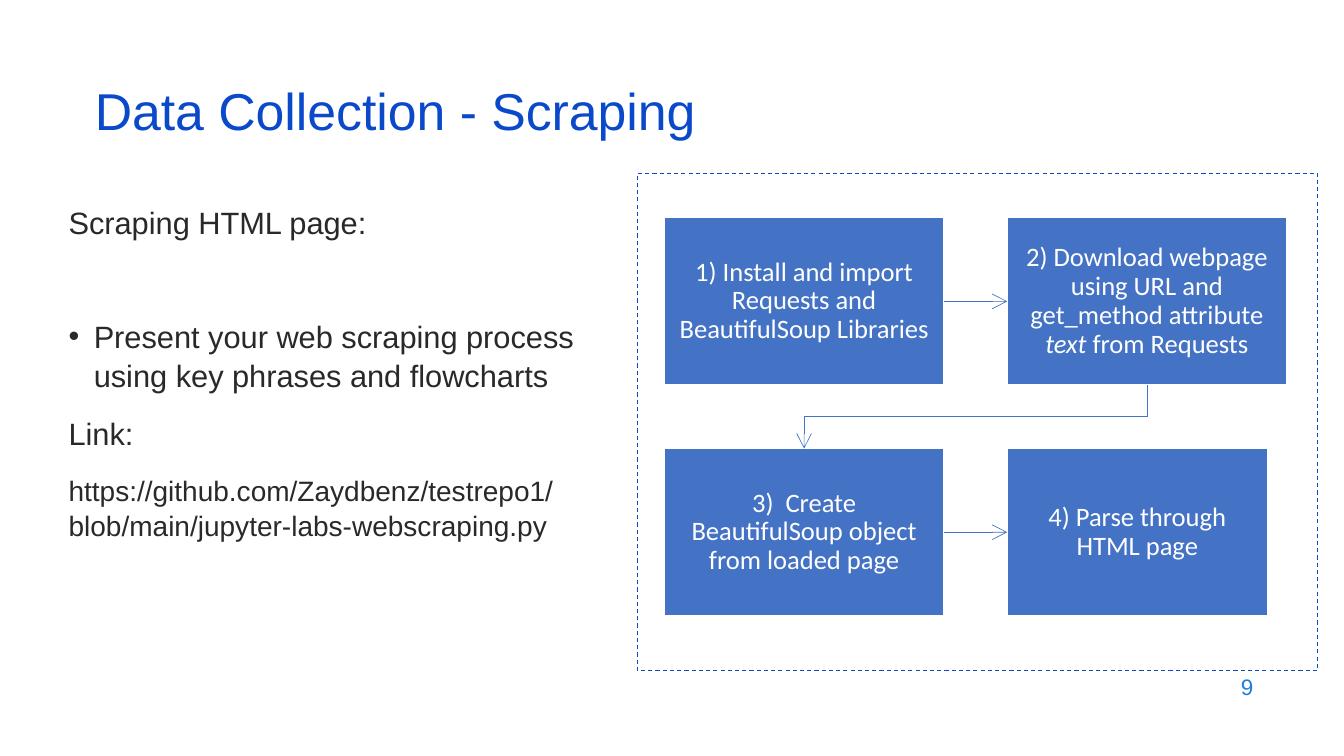
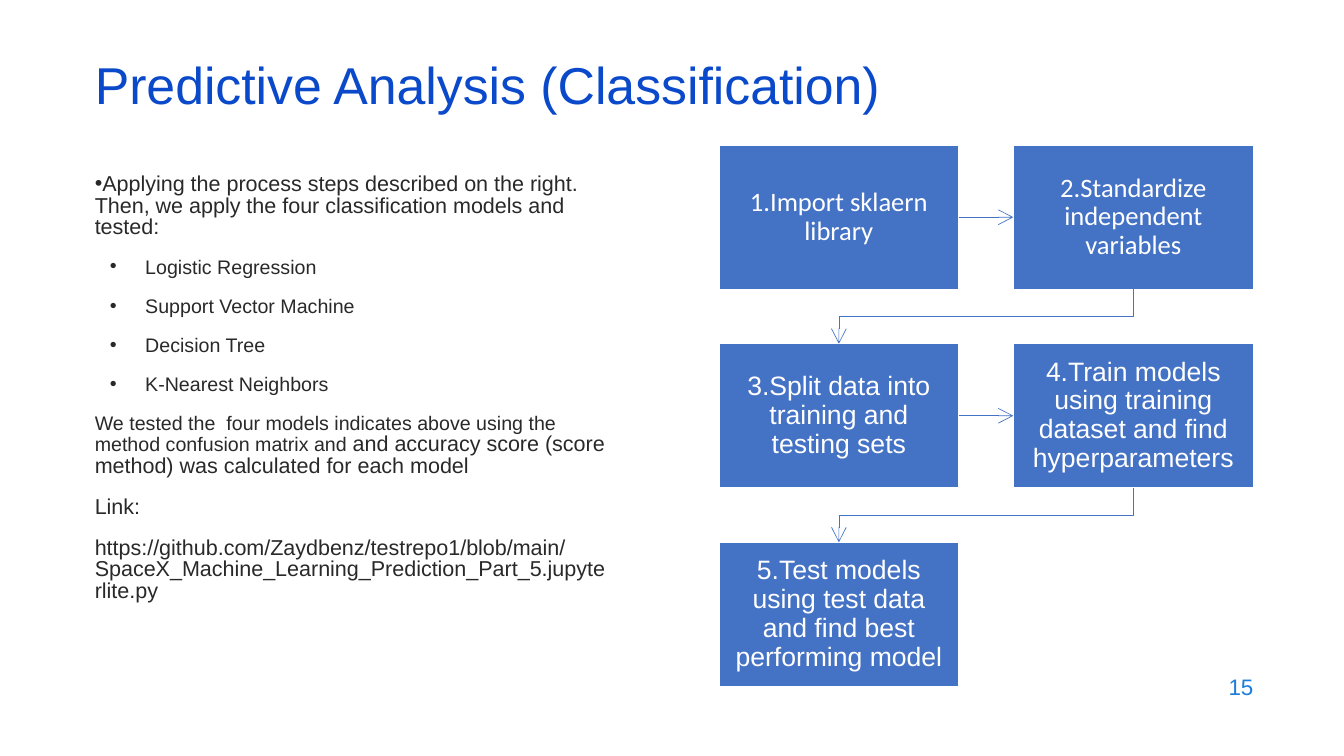
from lxml import etree
from pptx import Presentation
from pptx.dml.color import RGBColor
from pptx.enum import dml, shapes, text
from pptx.oxml.ns import qn
from pptx.util import Inches, Pt

COLOURS = {"title": "0B49CB", "body": "292929", "number": "1C7DDB",
           "step": "4472C4", "white": "FFFFFF"}
TITLE = {"size": Pt(37), "name": "Arial"}
NUMBER = {"size": Pt(16), "name": "Arial"}

# Body paragraphs: list style, then (text, size) spans.
# List styles: level, left margin, first-line indent, bullet.
LISTS = {"plain": (0, 0, 0, False), "bullet": (0, 0.25, -0.25, True),
         "flush": (0, 0, 0, True), "sub": (1, 0.5, -0.35, True)}

# Steps are lists of spans in which every second span is italic.
PAGES = [
    {
        "title": "Data Collection - Scraping", "title_at": (0.84, 0.85, 11.93, 0.6),
        "number": "9",
        "body_at": (0.58, 1.95, 5.74, 4.17), "line_spacing": 1.05,
        "gaps": {1: 54},
        "body": [
            ("plain", [("Scraping HTML page:", 22)]),
            ("bullet", [("Present your web scraping process using key phrases "
                         "and flowcharts", 22)]),
            ("plain", [("Link:", 22)]),
            ("plain", [("https://github.com/Zaydbenz/testrepo1/blob/main/"
                        "jupyter-labs-webscraping.py", 20)]),
        ],
        "frame_at": (6.32, 1.72, 6.75, 4.93),
        "grid": {"left": 6.59, "top": 2.16, "across": 3.4, "down": 2.29},
        "step_size": (2.77, 1.66), "last_width": 2.58,
        "steps": [
            ("Calibri", ["1) Install and import Requests and BeautifulSoup Libraries"]),
            ("Calibri", ["2) Download webpage using URL and get_method attribute ",
                         "text", " from Requests"]),
            ("Calibri", ["3)  Create BeautifulSoup object from loaded page"]),
            ("Calibri", ["4) Parse through HTML page"]),
        ],
    },
    {
        "title": "Predictive Analysis (Classification)", "title_at": (0.84, 0.59, 11.5, 0.6),
        "number": "15",
        "body_at": (0.84, 1.68, 5.33, 4.33), "line_spacing": 0.83,
        "gaps": {},
        "body": [
            ("flush", [("Applying the process steps described on the right. Then, "
                        "we apply the four classification models and tested:", 15.4)]),
            ("sub", [("Logistic Regression", 14)]),
            ("sub", [("Support Vector Machine", 14)]),
            ("sub", [("Decision Tree", 14)]),
            ("sub", [("K-Nearest Neighbors", 14)]),
            ("plain", [("We tested the  four models indicates above using the "
                        "method confusion matrix and ", 14),
                       ("and accuracy score (score method) was calculated for "
                        "each model", 15.4)]),
            ("plain", [("Link:", 15.4)]),
            ("plain", [("https://github.com/Zaydbenz/testrepo1/blob/main/"
                        "SpaceX_Machine_Learning_Prediction_Part_5.jupyterlite.py", 15.4)]),
        ],
        "frame_at": None,
        "grid": {"left": 7.13, "top": 1.44, "across": 2.92, "down": 1.97},
        "step_size": (2.38, 1.43), "last_width": 2.38,
        "steps": [
            ("Calibri", ["1.Import sklaern library"]),
            ("Calibri", ["2.Standardize independent variables"]),
            ("Arial", ["3.Split data into training and testing sets"]),
            ("Arial", ["4.Train models using training dataset and find hyperparameters"]),
            ("Arial", ["5.Test models using test data and find best performing model"]),
        ],
    },
]


def add_span(para, words, colour, values):
    span = para.add_run()
    span.text = words
    span.font.color.rgb = RGBColor.from_string(COLOURS[colour])
    for name, value in values.items():
        setattr(span.font, name, value)


def place(shape, at):
    """Move a placeholder and give its text frame fixed, wrapped text."""
    for name, value in zip(("left", "top", "width", "height"), at):
        setattr(shape, name, Inches(value))
    shape.text_frame.word_wrap = True
    shape.text_frame.auto_size = text.MSO_AUTO_SIZE.NONE
    return shape.text_frame


deck = Presentation()
deck.slide_width, deck.slide_height = Inches(13.33), Inches(7.5)

for content in PAGES:
    page = deck.slides.add_slide(deck.slide_layouts[1])

    # Title
    title = place(page.shapes.title, content["title_at"])
    title.vertical_anchor = text.MSO_ANCHOR.MIDDLE
    para = title.paragraphs[0]
    para.alignment, para.line_spacing = text.PP_ALIGN.LEFT, 0.8
    add_span(para, content["title"], "title", TITLE)

    # Body
    body = place(page.placeholders[1], content["body_at"])
    body.vertical_anchor = text.MSO_ANCHOR.TOP
    for index, (style, spans) in enumerate(content["body"]):
        para = body.add_paragraph() if index else body.paragraphs[0]
        para.level, margin, indent, bulleted = LISTS[style]
        para.line_spacing = content["line_spacing"]
        para.space_before = Pt(content["gaps"].get(index, 14) if index else 0)
        props = para._p.get_or_add_pPr()
        props.set("marL", str(Inches(margin)))
        props.set("indent", str(Inches(indent)))
        if bulleted:
            etree.SubElement(props, qn("a:buFont"), typeface="Arial")
            etree.SubElement(props, qn("a:buChar"), char="•")
        else:
            etree.SubElement(props, qn("a:buNone"))
        for words, size in spans:
            add_span(para, words, "body", {"size": Pt(size), "name": "Arial"})

    # Page number
    number = page.shapes.add_textbox(0, 0, 0, 0)
    number_frame = place(number, (9.53, 6.59, 3, 0.44))
    number_frame.vertical_anchor = text.MSO_ANCHOR.MIDDLE
    para = number_frame.paragraphs[0]
    para.alignment = text.PP_ALIGN.RIGHT
    add_span(para, content["number"], "number", NUMBER)

    # Dashed frame
    if content["frame_at"]:
        frame = page.shapes.add_shape(shapes.MSO_SHAPE.RECTANGLE,
                                      *map(Inches, content["frame_at"]))
        frame.shadow.inherit = False
        frame.fill.background()
        frame.line.color.rgb = RGBColor.from_string(COLOURS["title"])
        frame.line.width = Pt(0.75)
        frame.line.dash_style = dml.MSO_LINE.DASH

    # Step boxes, two to a row
    grid, boxes = content["grid"], []
    for index, (font, spans) in enumerate(content["steps"]):
        row, column = divmod(index, 2)
        width, height = content["step_size"]
        if index == len(content["steps"]) - 1:
            width = content["last_width"]
        box = page.shapes.add_shape(
            shapes.MSO_SHAPE.RECTANGLE,
            Inches(grid["left"] + column * grid["across"]),
            Inches(grid["top"] + row * grid["down"]),
            Inches(width), Inches(height))
        box.shadow.inherit = False
        box.fill.solid()
        box.fill.fore_color.rgb = RGBColor.from_string(COLOURS["step"])
        box.line.color.rgb = RGBColor.from_string(COLOURS["white"])
        box.line.width = Pt(1)
        for side in ("left", "top", "right", "bottom"):
            setattr(box.text_frame, f"margin_{side}", Inches(0.15))
        box.text_frame.word_wrap = True
        box.text_frame.vertical_anchor = text.MSO_ANCHOR.MIDDLE
        para = box.text_frame.paragraphs[0]
        para.alignment, para.line_spacing = text.PP_ALIGN.CENTER, 0.9
        for position, words in enumerate(spans):
            add_span(para, words, "white", {"size": Pt(19), "name": font,
                                            "italic": position % 2 == 1})
        boxes.append(box)

    # Arrows: straight along a row, elbow down to the next row
    for index, (source, target) in enumerate(zip(boxes, boxes[1:])):
        if index % 2 == 0:
            arrow = page.shapes.add_connector(shapes.MSO_CONNECTOR.STRAIGHT, 0, 0, 0, 0)
            arrow.begin_connect(source, 3)
            arrow.end_connect(target, 1)
        else:
            start_x = source.left + source.width // 2
            end_x = target.left + target.width // 2
            start_y, end_y = source.top + source.height, target.top
            # A quarter turn swaps the elbow's width and height about its centre.
            middle_x, middle_y = (start_x + end_x) // 2, (start_y + end_y) // 2
            half_drop, half_run = (end_y - start_y) // 2, (start_x - end_x) // 2
            arrow = page.shapes.add_connector(
                shapes.MSO_CONNECTOR.ELBOW,
                middle_x - half_drop, middle_y - half_run,
                middle_x + half_drop, middle_y + half_run)
            arrow.element.spPr.find(qn("a:xfrm")).set("rot", "5400000")
        arrow.line.color.rgb = RGBColor.from_string(COLOURS["step"])
        arrow.line.width = Pt(0.5)
        outline = arrow.element.spPr.find(qn("a:ln"))
        etree.SubElement(outline, qn("a:tailEnd"), type="arrow", w="lg", len="lg")
        etree.SubElement(arrow.element.spPr, qn("a:effectLst"))

deck.save("out.pptx")
